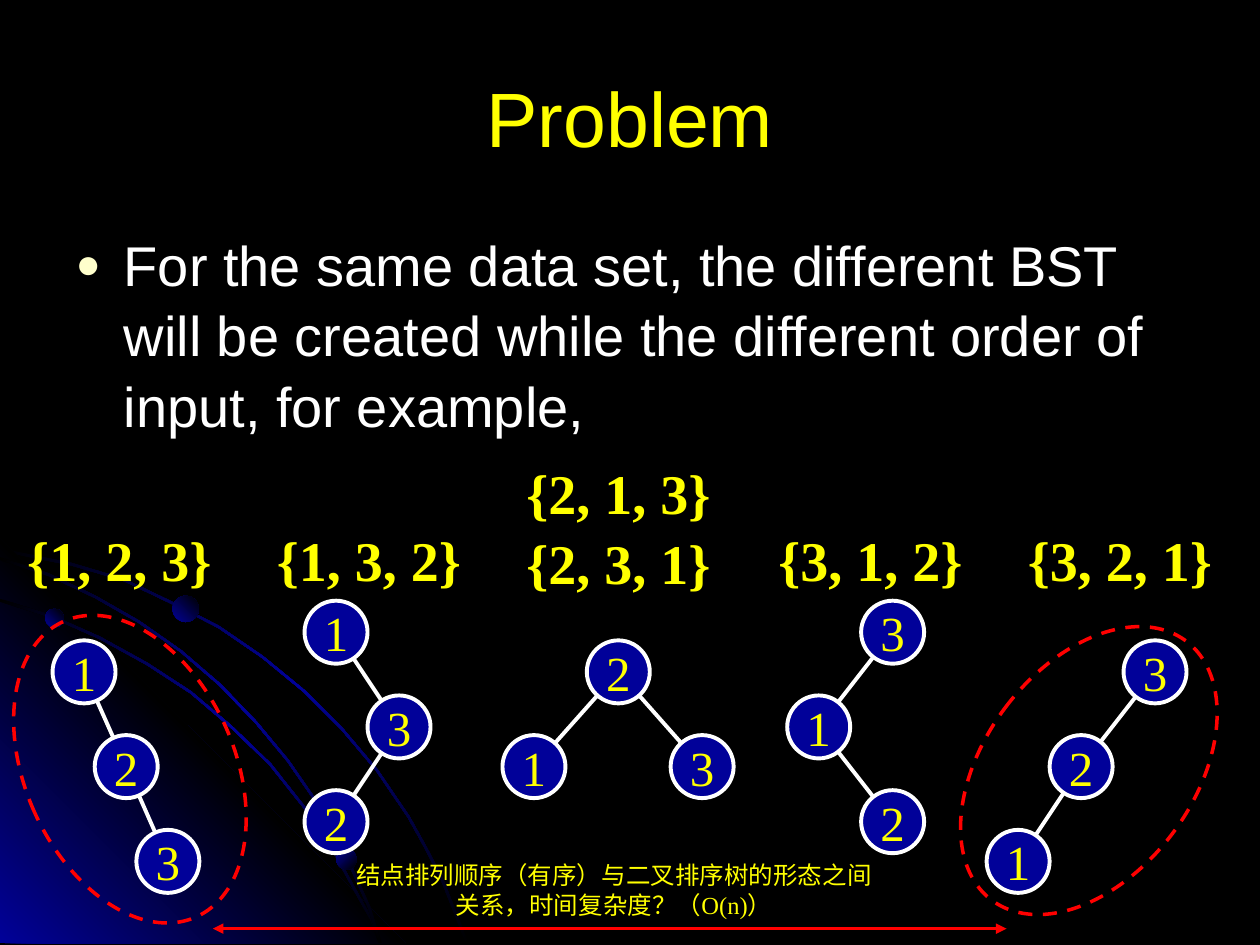
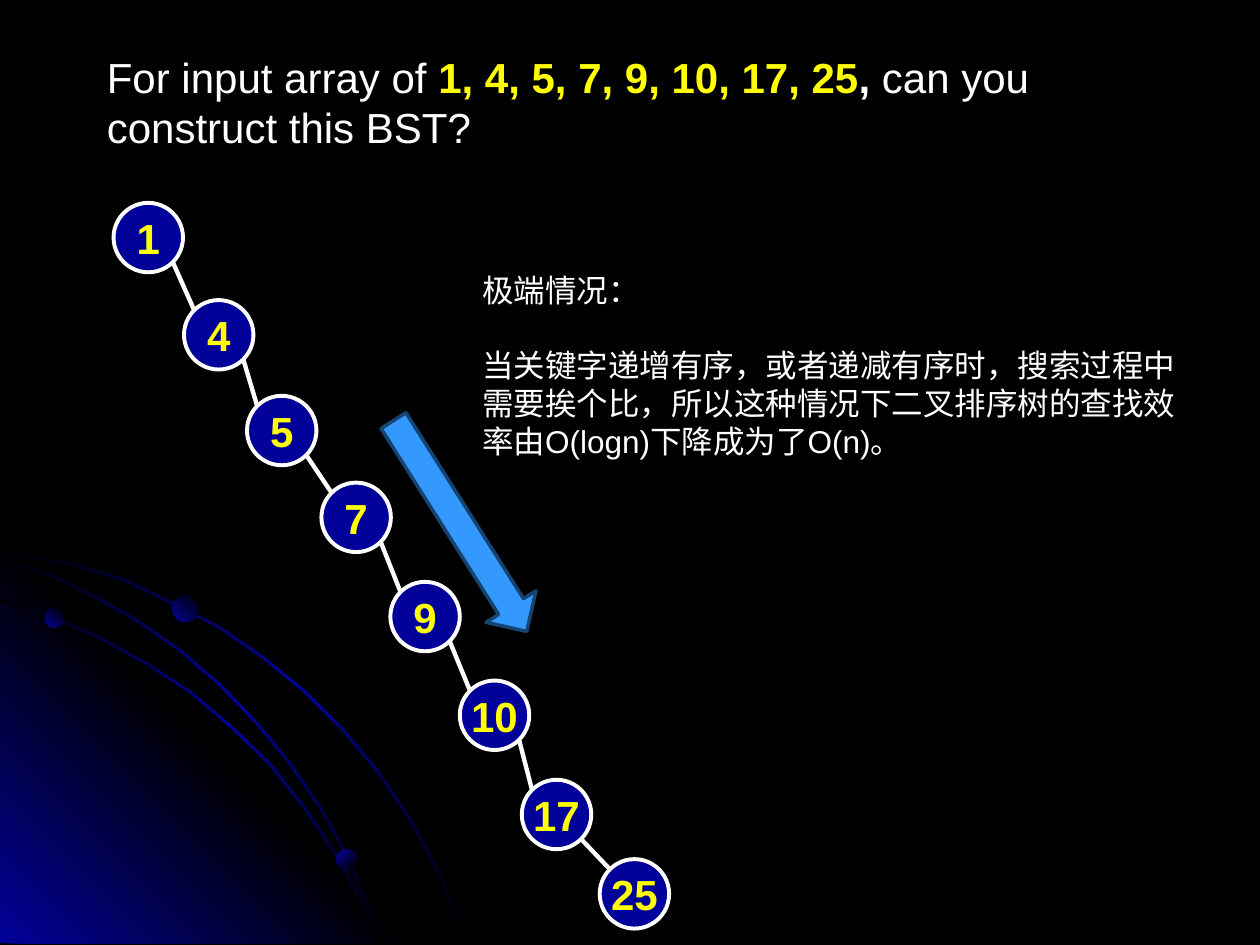
from dataclasses import dataclass
from itertools import pairwise
from math import sqrt

from lxml.etree import SubElement
from pptx import Presentation
from pptx.dml.color import RGBColor
from pptx.enum.dml import MSO_LINE
from pptx.enum.shapes import MSO_CONNECTOR, MSO_SHAPE
from pptx.enum.text import MSO_ANCHOR, MSO_AUTO_SIZE, PP_ALIGN
from pptx.oxml.ns import qn
from pptx.util import Cm, Pt


@dataclass(frozen=True)
class Theme:
    black: str = "000000"
    navy: str = "010199"
    white: str = "FFFFFF"
    yellow: str = "FFFF00"
    cream: str = "FFFFCC"
    red: str = "FF0000"
    sky: str = "3399FF"
    steel: str = "164370"
    sans: str = "Arial"
    serif: str = "Times New Roman"
    title: int = 44
    large: int = 32
    key: int = 28
    medium: int = 24
    note: int = 18
    caption: int = 14


THEME = Theme()

ARC_THICKNESS = 0.06
OUTER_ARC = [
    (0, 11.05), (0.71, 11.2), (1.45, 11.35), (2.49, 11.66), (3.45, 12.12),
    (4.42, 12.62), (5.31, 13.23), (6.15, 13.92), (6.91, 14.68), (7.62, 15.52),
    (8.26, 16.46), (8.61, 17.09), (8.94, 17.73), (9.19, 18.36), (9.45, 19.02),
]
INNER_ARC = [
    (0, 12.07), (1.04, 12.4), (2.01, 12.83), (2.97, 13.36), (3.86, 13.94),
    (4.67, 14.63), (5.46, 15.39), (6.15, 16.26), (6.76, 17.17), (7.26, 18.08),
    (7.52, 18.54), (7.7, 19.02),
]
MIDDLE_ARC = [
    (0, 11.23), (0.99, 11.56), (1.93, 12.01), (2.82, 12.52), (3.66, 13.11),
    (4.45, 13.79), (5.18, 14.55), (5.82, 15.32), (6.45, 16.23), (6.83, 16.89),
    (7.16, 17.6), (7.47, 18.29), (7.7, 19.02),
]
GLOW = [(8.18, 19.02), (0, 19.02), (0, 10.85)]
PLANETS = [(0.91, 12.27, 0.38, 315), (6.78, 17.12, 0.41, 45), (3.48, 12.01, 0.53, 315)]

PROBLEM = "Problem"
STATEMENT = (
    "For the same data set, the different BST will be created while "
    "the different order of input, for example,"
)
ORDERS = [
    ("{1, 2, 3}", 0.3, 10.46),
    ("{1, 3, 2}", 5.33, 10.46),
    ("{2, 1, 3}", 10.36, 9.12),
    ("{3, 1, 2}", 15.44, 10.46),
    ("{3, 2, 1}", 20.47, 10.46),
    ("{2, 3, 1}", 10.36, 10.52),
]
LEVEL_STEP = 1.91
TREES = [
    (12.91, {1: (1.06, 0), 2: (1.91, 1), 3: (2.75, 2)}, [(1, 2), (2, 3)]),
    (12.11, {1: (6.14, 0), 3: (7.41, 1), 2: (6.14, 2)}, [(1, 3), (3, 2)]),
    (12.91, {1: (10.13, 1), 2: (11.83, 0), 3: (13.52, 1)}, [(2, 1), (2, 3)]),
    (12.11, {1: (15.87, 1), 2: (17.36, 2), 3: (17.36, 0)}, [(3, 1), (1, 2)]),
    (12.91, {1: (19.89, 2), 2: (21.16, 1), 3: (22.65, 0)}, [(3, 2), (2, 1)]),
]
EXTREMES = [(0.51, 12.24, 335.8), (19.84, 12.27, 36.9)]
CAPTION = ["结点排列顺序（有序）与二叉排序树的形态之间", "关系，时间复杂度？（O(n)）"]

QUESTION = [
    ("For input array of ", THEME.white, False),
    ("1, 4, 5, 7, 9, 10, 17, 25", THEME.yellow, True),
    (",", THEME.white, True),
    (" can you construct this BST?", THEME.white, False),
]
CHAIN = [
    (1, 2.29, 4.09), (4, 3.71, 6.05), (5, 4.98, 7.98), (7, 6.48, 9.73),
    (9, 7.87, 11.73), (10, 9.27, 13.72), (17, 10.52, 15.72), (25, 12.09, 17.32),
]
NOTE = [
    "极端情况：",
    "当关键字递增有序，或者递减有序时，搜索过程中需要挨个比，"
    "所以这种情况下二叉排序树的查找效率由O(logn)下降成为了O(n)。",
]


def rgb(color):
    return RGBColor.from_string(color)


def add_run(paragraph, text, size, font, color, bold=False):
    run = paragraph.add_run()
    run.text = text
    run.font.size = Pt(size)
    run.font.name = font
    run.font.bold = bold
    run.font.color.rgb = rgb(color)


def place(shape, left, top, width, height):
    shape.left, shape.top, shape.width, shape.height = map(Cm, (left, top, width, height))


def set_line(shape, color, width):
    shape.line.color.rgb = rgb(color)
    shape.line.width = Pt(width)


def set_gradient(shape, colors, angle):
    shape.shadow.inherit = False
    shape.line.fill.background()
    shape.fill.gradient()
    gradient = shape.fill._fill._gradFill
    for child in list(gradient):
        gradient.remove(child)
    stops = SubElement(gradient, qn("a:gsLst"))
    for index, color in enumerate(colors):
        position = 100000 * index // (len(colors) - 1)
        stop = SubElement(stops, qn("a:gs"), pos=str(position))
        SubElement(stop, qn("a:srgbClr"), val=color)
    SubElement(gradient, qn("a:lin"), ang=str(angle * 60000), scaled="1")


def add_shape(slide, kind, left, top, width, height, fill=None, rotation=0):
    shape = slide.shapes.add_shape(kind, *map(Cm, (left, top, width, height)))
    shape.shadow.inherit = False
    shape.rotation = rotation
    if fill:
        shape.fill.solid()
        shape.fill.fore_color.rgb = rgb(fill)
    else:
        shape.fill.background()
    return shape


def add_outline(slide, points, colors, angle):
    start, *rest = [(Cm(x), Cm(y)) for x, y in points]
    builder = slide.shapes.build_freeform(*start)
    builder.add_line_segments(rest, close=True)
    set_gradient(builder.convert_to_shape(), colors, angle)


def add_arc(slide, edge):
    last = len(edge) - 1
    back = [
        (max(0, x - ARC_THICKNESS * i / last), y + ARC_THICKNESS * (1 - i / last))
        for i, (x, y) in enumerate(edge)
    ]
    add_outline(slide, edge + back[::-1], [THEME.black, THEME.navy, THEME.black], 45)


def add_backdrop(slide):
    add_arc(slide, OUTER_ARC)
    add_outline(slide, GLOW, [THEME.navy, THEME.black, THEME.navy], 315)
    add_arc(slide, INNER_ARC)
    add_arc(slide, MIDDLE_ARC)
    for left, top, size, angle in PLANETS:
        planet = add_shape(slide, MSO_SHAPE.OVAL, left, top, size, size)
        set_gradient(planet, [THEME.navy, THEME.black], angle)


def new_slide(presentation, layout):
    slide = presentation.slides.add_slide(presentation.slide_layouts[layout])
    add_backdrop(slide)
    return slide


def add_connector(slide, start, end, color, width):
    connector = slide.shapes.add_connector(
        MSO_CONNECTOR.STRAIGHT, *map(Cm, (*start, *end))
    )
    set_line(connector, color, width)
    SubElement(connector._element.spPr, qn("a:effectLst"))
    return connector


def add_node(slide, key, left, top, diameter, size, font, bold=False):
    node = add_shape(slide, MSO_SHAPE.OVAL, left, top, diameter, diameter, THEME.navy)
    set_line(node, THEME.white, 2.25)
    frame = node.text_frame
    frame.word_wrap = False
    frame.vertical_anchor = MSO_ANCHOR.MIDDLE
    paragraph = frame.paragraphs[0]
    paragraph.alignment = PP_ALIGN.CENTER
    add_run(paragraph, str(key), size, font, THEME.yellow, bold)


def add_text(slide, box, lines, size, font, color, bold=False, wrap=False,
             align=PP_ALIGN.LEFT, gap=0):
    frame = slide.shapes.add_textbox(*map(Cm, box)).text_frame
    frame.word_wrap = wrap
    frame.auto_size = MSO_AUTO_SIZE.SHAPE_TO_FIT_TEXT
    for index, line in enumerate(lines):
        paragraph = frame.add_paragraph() if index else frame.paragraphs[0]
        paragraph.alignment = align
        paragraph.space_before = Pt(gap if index else 0)
        add_run(paragraph, line, size, font, color, bold)


def set_title(slide, box, runs, size, align, anchor):
    title = slide.shapes.title
    place(title, *box)
    frame = title.text_frame
    frame.auto_size = MSO_AUTO_SIZE.NONE
    frame.vertical_anchor = anchor
    paragraph = frame.paragraphs[0]
    paragraph.alignment = align
    for text, color, bold in runs:
        add_run(paragraph, text, size, THEME.sans, color, bold)


def set_statement(slide):
    body = slide.placeholders[1]
    place(body, 1.27, 4.45, 22.86, 12.57)
    body.text_frame.auto_size = MSO_AUTO_SIZE.NONE
    paragraph = body.text_frame.paragraphs[0]
    properties = paragraph._p.get_or_add_pPr()
    properties.set("marL", str(Cm(0.97)))
    properties.set("indent", str(-Cm(0.97)))
    color = SubElement(properties, qn("a:buClr"))
    SubElement(color, qn("a:srgbClr"), val=THEME.cream)
    SubElement(properties, qn("a:buSzPct"), val="75000")
    SubElement(properties, qn("a:buFont"), typeface=THEME.sans)
    SubElement(properties, qn("a:buChar"), char="●")
    paragraph.space_before = Pt(0)
    paragraph.line_spacing = 1.05
    add_run(paragraph, STATEMENT, THEME.large, THEME.sans, THEME.white)


def add_tree(slide, top, nodes, edges):
    diameter = 1.27
    corners = {key: (left, top + level * LEVEL_STEP) for key, (left, level) in nodes.items()}
    centres = {key: (x + diameter / 2, y + diameter / 2) for key, (x, y) in corners.items()}
    for parent, child in edges:
        add_connector(slide, centres[parent], centres[child], THEME.white, 2.25)
    for key, corner in corners.items():
        add_node(slide, key, *corner, diameter, THEME.key, THEME.serif)


def build_problem(presentation):
    slide = new_slide(presentation, 1)
    set_title(slide, (1.27, 0.76, 22.86, 3.18), [(PROBLEM, THEME.yellow, False)],
              THEME.title, PP_ALIGN.CENTER, MSO_ANCHOR.MIDDLE)
    set_statement(slide)
    for tree in TREES:
        add_tree(slide, *tree)
    for order, left, top in ORDERS:
        add_text(slide, (left, top, 4.22, 1.6), [order], THEME.large, THEME.serif,
                 THEME.yellow, bold=True)
    for left, top, rotation in EXTREMES:
        ring = add_shape(slide, MSO_SHAPE.OVAL, left, top, 4.22, 6.53, rotation=rotation)
        set_line(ring, THEME.red, 2)
        ring.line.dash_style = MSO_LINE.DASH
    arrow = add_connector(slide, (4.29, 18.72), (20.29, 18.72), THEME.red, 2)
    for end in ("a:headEnd", "a:tailEnd"):
        SubElement(arrow.line._get_or_add_ln(), qn(end), type="triangle")
    add_text(slide, (6.88, 17.22, 11, 1.45), CAPTION, THEME.caption, THEME.serif,
             THEME.yellow, align=PP_ALIGN.CENTER)


def build_chain(presentation):
    slide = new_slide(presentation, 5)
    set_title(slide, (1.9, 0.91, 21.59, 2.31), QUESTION, THEME.medium,
              PP_ALIGN.LEFT, MSO_ANCHOR.TOP)
    diameter = 1.4
    near = diameter / 2 * (1 - 1 / sqrt(2))
    far = diameter - near
    for key, left, top in CHAIN:
        add_node(slide, key, left, top, diameter, THEME.medium, THEME.sans, bold=True)
    for (_, x1, y1), (_, x2, y2) in pairwise(CHAIN):
        add_connector(slide, (x1 + far, y1 + far), (x2 + near, y2 + near), THEME.white, 2.5)
    arrow = add_shape(slide, MSO_SHAPE.RIGHT_ARROW, 6.76, 10.01, 5.03, 1.19, THEME.sky, 57.7)
    set_line(arrow, THEME.steel, 2)
    add_text(slide, (9.47, 5.33, 14.61, 4.11), NOTE, THEME.note, THEME.sans,
             THEME.white, wrap=True, gap=21.6)


def main():
    presentation = Presentation()
    presentation.slide_width, presentation.slide_height = Cm(25.4), Cm(19.05)
    background = presentation.slide_master.background.fill
    background.solid()
    background.fore_color.rgb = rgb(THEME.black)
    build_problem(presentation)
    build_chain(presentation)
    presentation.save("out.pptx")


if __name__ == "__main__":
    main()
